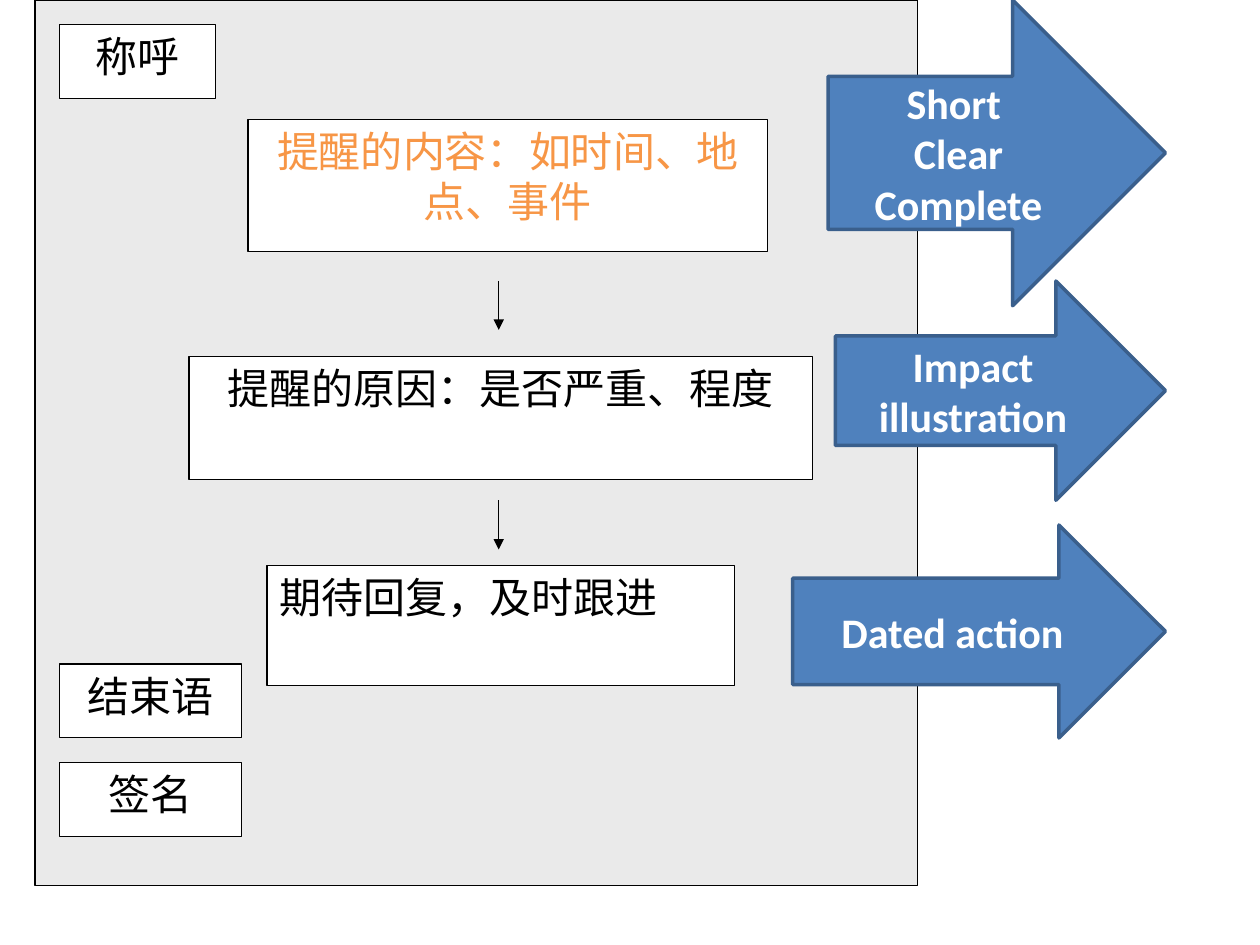
import pptx
import pptx.util
import pptx.dml.color
import pptx.enum.shapes
import pptx.enum.text
import pptx.oxml.ns
import lxml.etree

Pt = pptx.util.Pt
Kind = pptx.enum.shapes.MSO_SHAPE
Align = pptx.enum.text.PP_ALIGN
Anchor = pptx.enum.text.MSO_ANCHOR
qn = pptx.oxml.ns.qn
HUES = {"panel": "EAEAEA", "white": "FFFFFF", "black": "000000",
        "orange": "F79646", "blue": "4F81BD", "edge": "3A5F8C"}


def rgb(name):
    """Return the named colour."""
    return pptx.dml.color.RGBColor.from_string(HUES[name])


def draw(kind, area, fill, edge, width, lines=(), hue="black", font="Times New Roman",
         align=Align.CENTER, anchor=Anchor.TOP, bold=False):
    """Add a filled, outlined shape with one paragraph per line of text."""
    shape = slide.shapes.add_shape(kind, *[Pt(n) for n in area])
    shape.shadow.inherit = False
    shape.fill.solid()
    shape.fill.fore_color.rgb = rgb(fill)
    shape.line.color.rgb = rgb(edge)
    shape.line.width = Pt(width)
    frame = shape.text_frame
    frame.word_wrap = True
    frame.vertical_anchor = anchor
    for i, line in enumerate(lines):
        para = frame.add_paragraph() if i else frame.paragraphs[0]
        para.alignment = align
        run = para.add_run()
        run.text = line
        para.font.size = run.font.size = Pt(24)
        para.font.bold = run.font.bold = bold
        run.font.name = font
        run.font.color.rgb = rgb(hue)
        east = lxml.etree.SubElement(run.font._element, qn("a:ea"))
        east.set("typeface", "Noto Sans CJK SC")


deck = pptx.Presentation()
deck.slide_width, deck.slide_height = Pt(720), Pt(540)
slide = deck.slides.add_slide(deck.slide_layouts[6])

# Letter page and its parts
draw(Kind.RECTANGLE, (20, 0, 504.5, 506), "panel", "black", 0.75)
boxes = [
    ((34, 14, 89.3, 42.3), "称呼", {}),
    ((141.8, 68.2, 297, 75.4), "提醒的内容：如时间、地点、事件",
     {"hue": "orange", "font": "Noto Sans CJK SC"}),
    ((108, 203.7, 356.4, 70.3), "提醒的原因：是否严重、程度", {}),
    ((152.6, 323.2, 267.2, 68.5), "期待回复，及时跟进", {"align": Align.LEFT}),
    ((34, 379.4, 104, 42.3), "结束语", {}),
    ((34, 435.6, 104, 42.3), "签名", {}),
]
for area, text, style in boxes:
    draw(Kind.RECTANGLE, area, "white", "black", 0.75, [text], **style)

# Steps between the parts
for top in (160.5, 286):
    step = slide.shapes.add_connector(pptx.enum.shapes.MSO_CONNECTOR.STRAIGHT,
                                      Pt(285), Pt(top), Pt(285), Pt(top + 28))
    step.line.color.rgb = rgb("black")
    step.line.width = Pt(0.75)
    lxml.etree.SubElement(step.line._get_or_add_ln(), qn("a:tailEnd")).set("type", "triangle")
    lxml.etree.SubElement(step._element.spPr, qn("a:effectLst"))

# Advice arrows share one right-hand tip
tip = 666
arrows = [
    (473.2, 0, 174.7, ["Short ", "Clear", "Complete"]),
    (477.4, 160.6, 125.3, ["Impact illustration"]),
    (453, 300, 121.7, ["Dated action"]),
]
for left, top, height, lines in arrows:
    draw(Kind.RIGHT_ARROW, (left, top, tip - left, height), "blue", "edge", 2, lines,
         "white", "Calibri", anchor=Anchor.MIDDLE, bold=True)

deck.save("out.pptx")
